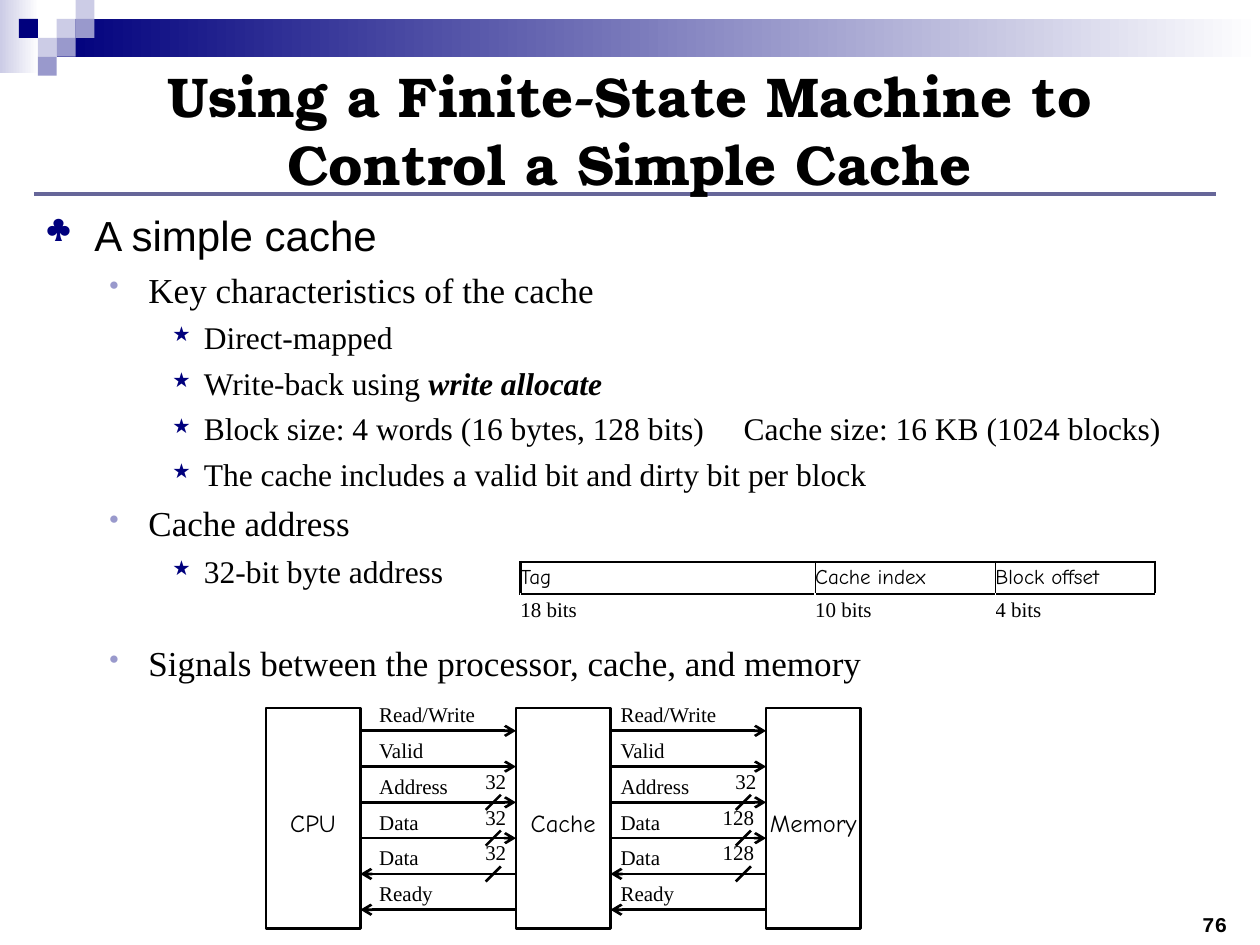
"""Build a slide on the finite-state control of a simple cache."""
from dataclasses import dataclass

from pptx import Presentation
from pptx.dml.color import RGBColor
from pptx.enum.shapes import MSO_CONNECTOR, MSO_SHAPE
from pptx.enum.text import MSO_ANCHOR, PP_ALIGN
from pptx.oxml import parse_xml
from pptx.oxml.ns import nsdecls
from pptx.util import Inches, Pt


@dataclass(frozen=True)
class Theme:
    ink: str = "000000"
    navy: str = "00007D"
    mid: str = "9999CC"
    pale: str = "CCCCE6"
    white: str = "FFFFFF"
    rule: str = "666699"
    title_font: str = "TeX Gyre Bonum"
    head_font: str = "Arial"
    serif: str = "Times New Roman"
    hand: str = "Comic Neue"
    mono: str = "Courier New"
    title: int = 32
    small: int = 12
    box: int = 14
    line: float = 1.5


T = Theme()
COLS, ROWS = 100, 75
TITLE = "Using a Finite-State Machine to Control a Simple Cache"
PAGE = "76"

LEVELS = [
    dict(size=24, font=T.head_font, left=0.38, hang=0.38, char="♣", color=T.navy, pct=75),
    dict(size=20, font=T.serif, left=0.81, hang=0.31, char="•", color=T.mid, pct=80),
    dict(size=18, font=T.serif, left=1.25, hang=0.25, char="★", color=T.navy, pct=65),
]
BULLETS = [
    (0, 3, [("A simple cache", {})]),
    (1, 5, [("Key characteristics of the cache", {})]),
    (2, 4.5, [("Direct-mapped", {})]),
    (2, 4.5, [("Write-back using ", {}), ("write allocate", dict(bold=True, italic=True))]),
    (2, 4.5, [("Block size: 4 words (16 bytes, 128 bits)", {}), (" ", dict(spread=18)),
              ("Cache size: 16 KB (1024 blocks)", {})]),
    (2, 4.5, [("The cache includes a valid bit and dirty bit per block", {})]),
    (1, 5, [("Cache address", {})]),
    (2, 4.5, [("32-bit byte address", {})]),
    (1, 30, [("Signals between the processor, cache, and memory", {})]),
]
FIELDS = [("Tag", "18 bits", 23.4), ("Cache index", "10 bits", 14.3),
          ("Block offset", "4 bits", 12.7)]
UNITS = ["CPU", "Cache", "Memory"]
SIGNALS = [("Read/Write", True, None), ("Valid", True, None), ("Address", True, ("32", "32")),
           ("Data", True, ("32", "128")), ("Data", False, ("32", "128")),
           ("Ready", False, None)]
MOSAIC = [(3, 1, T.pale), (4, 0, T.pale), (4, 1, T.mid), (2, 2, T.pale),
          (1, 1, T.navy), (3, 2, T.mid), (2, 3, T.mid)]
BANDS = [((0, 0, 3.1, 5.8), T.pale), ((4.5, 1.5, 95.5, 3), T.navy)]

prs = Presentation()
prs.slide_width, prs.slide_height = Inches(10), Inches(7.5)
s = prs.slides.add_slide(prs.slide_layouts[6])


def grid(x, y, w, h):
    cw, rh = prs.slide_width / COLS, prs.slide_height / ROWS
    return [round(v) for v in (x * cw, y * rh, w * cw, h * rh)]


def write(p, text, size=T.small, font=T.serif, bold=False, italic=False,
          align=PP_ALIGN.LEFT, spread=0):
    p.alignment = align
    r = p.add_run()
    r.text = text
    f = r.font
    f.size, f.name, f.bold, f.italic = Pt(size), font, bold, italic
    f.color.rgb = RGBColor.from_string(T.ink)
    if spread:
        r._r.get_or_add_rPr().set("spc", str(spread * 100))


def frame(at, inset=0.0, anchor=MSO_ANCHOR.TOP):
    tf = s.shapes.add_textbox(*grid(*at)).text_frame
    tf.word_wrap, tf.vertical_anchor = True, anchor
    tf.margin_left = tf.margin_right = Inches(inset)
    tf.margin_top = tf.margin_bottom = Inches(inset / 2)
    return tf


def rect(at, fill=None, fade=False, line=None):
    sp = s.shapes.add_shape(MSO_SHAPE.RECTANGLE, *grid(*at))
    sp.shadow.inherit = False
    if fade:
        sp.fill.gradient()
        sp.fill.gradient_angle = 0
        for stop, color in zip(sp.fill.gradient_stops, (fill, T.white)):
            stop.color.rgb = RGBColor.from_string(color)
    elif fill:
        sp.fill.solid()
        sp.fill.fore_color.rgb = RGBColor.from_string(fill)
    else:
        sp.fill.background()
    if line:
        sp.line.color.rgb = RGBColor.from_string(line)
        sp.line.width = Pt(T.line)
    else:
        sp.line.fill.background()


def stroke(x1, y1, x2, y2, color=T.ink, width=T.line, arrow=None):
    c = s.shapes.add_connector(MSO_CONNECTOR.STRAIGHT, *grid(x1, y1, x2, y2))
    c.line.color.rgb = RGBColor.from_string(color)
    c.line.width = Pt(width)
    if arrow:
        c.line._get_or_add_ln().append(
            parse_xml(f'<a:{arrow} {nsdecls("a")} type="arrow"/>'))
    c._element.spPr.append(parse_xml(f'<a:effectLst {nsdecls("a")}/>'))


def bullet(p, left, hang, char, color, pct):
    pPr = p._p.get_or_add_pPr()
    pPr.set("marL", str(Inches(left)))
    pPr.set("indent", str(-Inches(hang)))
    for xml in (f'<a:buClr {nsdecls("a")}><a:srgbClr val="{color}"/></a:buClr>',
                f'<a:buSzPct {nsdecls("a")} val="{pct * 1000}"/>',
                f'<a:buChar {nsdecls("a")} char="{char}"/>'):
        pPr.append(parse_xml(xml))


def border(cell, **widths):
    for side, width in widths.items():
        cell._tc.get_or_add_tcPr().append(parse_xml(
            f'<a:ln{side} {nsdecls("a")} w="{Pt(width)}"><a:solidFill>'
            f'<a:srgbClr val="{T.ink}"/></a:solidFill></a:ln{side}>'))


def draw_header():
    for at, color in BANDS:
        rect(at, color, fade=True)
    for col, row, color in MOSAIC:
        rect((col * 1.5, row * 1.5, 1.5, 1.5), color)
    stroke(2.7, 15.4, 96.5, 15.4, T.rule, 2.25)
    write(frame((92.9, 72.2, 7, 2.3), anchor=MSO_ANCHOR.MIDDLE).paragraphs[0], PAGE,
          font=T.mono, bold=True, align=PP_ALIGN.CENTER)
    write(frame((5, 5, 90, 10.5), 0.1, MSO_ANCHOR.MIDDLE).paragraphs[0], TITLE,
          size=T.title, font=T.title_font, bold=True, align=PP_ALIGN.CENTER)


def draw_bullets():
    tf = frame((2.7, 16.1, 95.3, 39.5), 0.1)
    for i, (level, gap, runs) in enumerate(BULLETS):
        p = tf.add_paragraph() if i else tf.paragraphs[0]
        look = dict(LEVELS[level])
        font = dict(size=look.pop("size"), font=look.pop("font"))
        p.level, p.space_before = level, Pt(gap)
        bullet(p, **look)
        for text, extra in runs:
            write(p, text, **font, **extra)


def draw_address():
    total = sum(width for *_, width in FIELDS)
    tb = s.shapes.add_table(2, len(FIELDS), *grid(41.3, 44.6, total, 5.1)).table
    tb.first_row = tb.horz_banding = False
    last = len(FIELDS) - 1
    for c, (name, bits, width) in enumerate(FIELDS):
        tb.columns[c].width = grid(0, 0, width, 0)[2]
        for r, (text, font) in enumerate(((name, T.hand), (bits, T.serif))):
            cell = tb.cell(r, c)
            cell.margin_left = cell.margin_right = cell.margin_top = cell.margin_bottom = 0
            cell.vertical_anchor = MSO_ANCHOR.MIDDLE
            if r == 0:
                border(cell, L=0.75 if c else T.line, R=0.75 if c < last else T.line,
                       T=T.line, B=T.line)
            else:
                border(cell, T=T.line)
            cell.fill.background()
            write(cell.text_frame.paragraphs[0], text, font=font)


def draw_signals():
    left, top, width, height, pitch, lane = 21.1, 56.2, 7.5, 17.5, 19.85, 2.84
    for i, name in enumerate(UNITS):
        x = left + i * pitch
        rect((x, top, width, height), line=T.ink)
        write(frame((x, 64.1, width, 2.4)).paragraphs[0], name, size=T.box, font=T.hand,
              align=PP_ALIGN.CENTER)
    for bus, indent in enumerate((1.5, 0.8)):
        start, end = left + bus * pitch + width, left + (bus + 1) * pitch
        for i, (name, forward, bits) in enumerate(SIGNALS):
            y = top + 1.8 + i * lane
            stroke(start, y, end, y, arrow="tailEnd" if forward else "headEnd")
            write(frame((start + indent, y - 2.3, 8.3, 2)).paragraphs[0], name)
            if bits:
                stroke(end - 1.2, y - 0.6, end - 2.4, y + 0.6)
                w = 2 if len(bits[bus]) == 2 else 3.2
                write(frame((end - 0.6 - w, y - 2.7, w, 2)).paragraphs[0], bits[bus],
                      align=PP_ALIGN.CENTER)


draw_header()
draw_bullets()
draw_address()
draw_signals()
prs.save("out.pptx")
